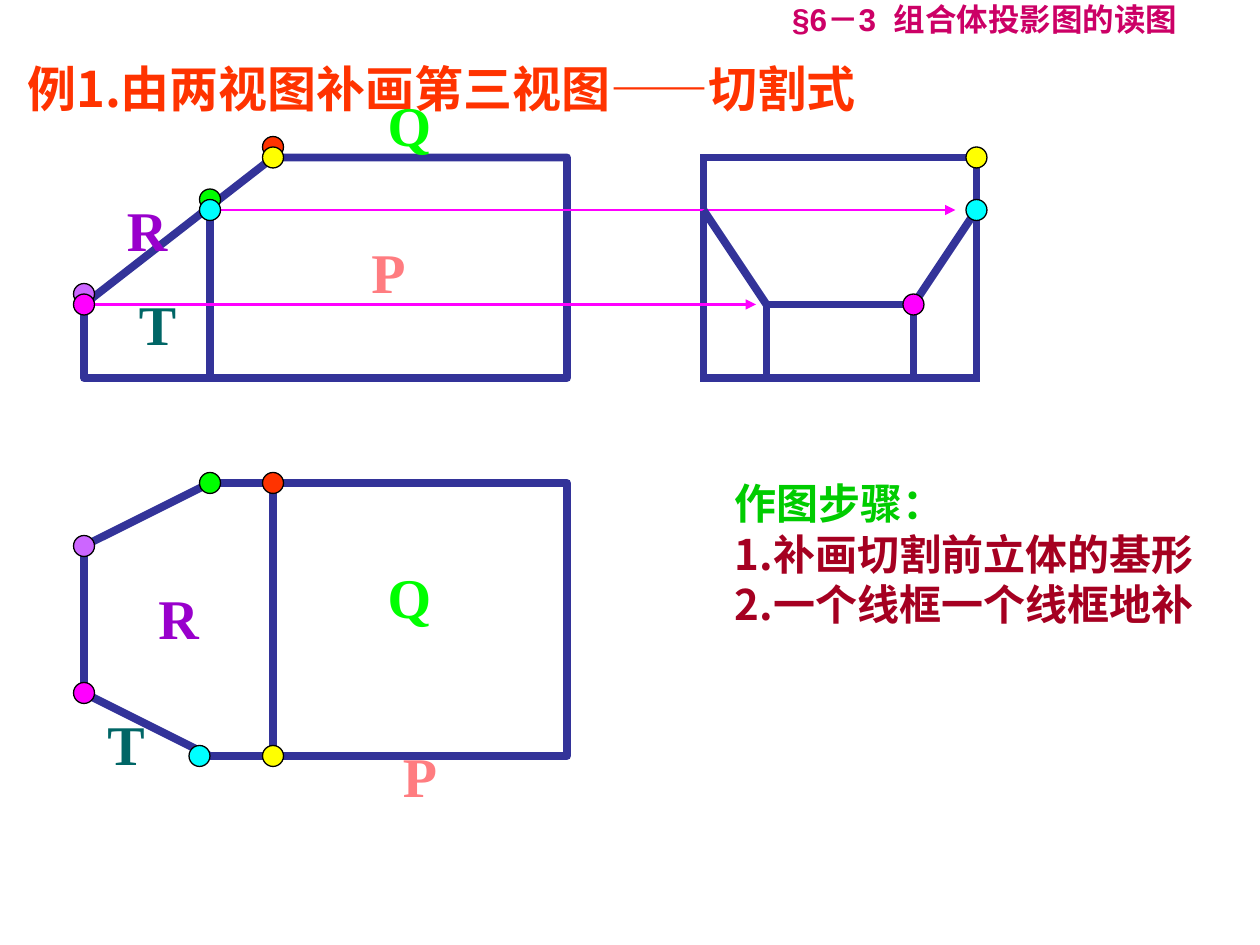
from dataclasses import dataclass

from lxml.etree import SubElement
from pptx import Presentation
from pptx.dml.color import RGBColor
from pptx.enum.shapes import MSO_CONNECTOR, MSO_SHAPE
from pptx.enum.text import MSO_ANCHOR, MSO_AUTO_SIZE, PP_ALIGN
from pptx.oxml.ns import qn
from pptx.util import Cm, Pt

Point = tuple[int, int]
EDGE, RAY = "333399", "FF00FF"
RED, GREEN, PURPLE = "FF3300", "00FF00", "CC66FF"
MAGENTA, CYAN, YELLOW = "FF00FF", "00FFFF", "FFFF00"
CJK, LATIN = "Noto Sans CJK SC", "Times New Roman"


@dataclass
class Vertex:
    center: Point
    color: str


@dataclass
class FaceLabel:
    letter: str
    color: str
    corners: tuple[Point, Point]


PLAN_VERTICES = [
    Vertex((26, 46), RED), Vertex((20, 46), GREEN), Vertex((8, 52), PURPLE),
    Vertex((8, 66), MAGENTA), Vertex((19, 72), CYAN), Vertex((26, 72), YELLOW),
]
SIDE_VERTICES = [
    Vertex((87, 29), MAGENTA), Vertex((93, 20), CYAN), Vertex((93, 15), YELLOW),
]
FRONT_VERTICES = [
    Vertex((26, 14), RED), Vertex((20, 19), GREEN), Vertex((8, 28), PURPLE),
    Vertex((8, 29), MAGENTA), Vertex((20, 20), CYAN), Vertex((26, 15), YELLOW),
]
FACE_LABELS = [
    FaceLabel("P", "FF7C80", ((33, 22), (36, 70))),
    FaceLabel("Q", "00FF00", ((35, 53), (35, 8))),
    FaceLabel("R", "9900CC", ((13, 55), (10, 18))),
    FaceLabel("T", "006666", ((11, 27), (8, 67))),
]
PLAN_OUTLINE = [(54, 46), (20, 46), (8, 52), (8, 66), (20, 72), (54, 72)]
FRONT_OUTLINE = [(8, 36), (8, 29), (26, 15), (54, 15), (54, 36)]
SIDE_EDGES = [
    ((73, 36), (73, 29)), ((87, 36), (87, 29)), ((73, 29), (87, 29)),
    ((73, 29), (67, 20)), ((87, 29), (93, 20)),
]
PROJECTION_RAYS = [((20, 20), (91, 20)), ((8, 29), (72, 29))]


def grid(steps: float) -> Cm:
    return Cm(steps * 2.54 / 12)


def rgb(color: str) -> RGBColor:
    return RGBColor.from_string(color)


def style_line(line, color: str, width: float) -> None:
    line.color.rgb = rgb(color)
    line.width = Pt(width)


def draw_edge(shapes, start: Point, end: Point, color=EDGE, width=4.5):
    edge = shapes.add_connector(
        MSO_CONNECTOR.STRAIGHT, *map(grid, start), *map(grid, end))
    style_line(edge.line, color, width)
    SubElement(edge._element.spPr, qn("a:effectLst"))
    return edge


def draw_ray(shapes, start: Point, end: Point) -> None:
    ray = draw_edge(shapes, start, end, RAY, 1.5)
    SubElement(ray.line._get_or_add_ln(), qn("a:tailEnd"), type="triangle")


def draw_outline(shapes, corners: list[Point]) -> None:
    builder = shapes.build_freeform(*corners[0], scale=grid(1))
    builder.add_line_segments(corners[1:], close=True)
    outline = builder.convert_to_shape()
    outline.fill.background()
    outline.shadow.inherit = False
    style_line(outline.line, EDGE, 4.5)
    SubElement(outline.line._get_or_add_ln(), qn("a:round"))


def draw_side_frame(shapes) -> None:
    frame = shapes.add_shape(
        MSO_SHAPE.RECTANGLE, grid(67), grid(15), grid(26), grid(21))
    frame.fill.solid()
    frame.fill.fore_color.rgb = rgb("FFFFFF")
    frame.shadow.inherit = False
    style_line(frame.line, EDGE, 4.5)
    SubElement(frame.line._get_or_add_ln(), qn("a:miter"), lim="800000")


def draw_vertices(shapes, vertices: list[Vertex]) -> None:
    group = shapes.add_group_shape()
    for vertex in vertices:
        x, y = vertex.center
        dot = group.shapes.add_shape(
            MSO_SHAPE.OVAL, grid(x - 1), grid(y - 1), grid(2), grid(2))
        dot.fill.solid()
        dot.fill.fore_color.rgb = rgb(vertex.color)
        dot.shadow.inherit = False
        style_line(dot.line, "000000", 0.75)


def add_run(paragraph, text: str, size: float, color: str, face: str):
    run = paragraph.add_run()
    run.text = text
    run.font.size = Pt(size)
    run.font.bold = True
    run.font.name = face
    run.font.color.rgb = rgb(color)
    SubElement(run.font._element, qn("a:ea"),
               typeface=LATIN if face == LATIN else CJK)
    return run


def place(box, left: float, top: float, width: float, height: float) -> None:
    box.left, box.top, box.width, box.height = map(
        Cm, (left, top, width, height))


def set_frame(frame, anchor, side_inset: float = 0.25) -> None:
    frame.word_wrap = True
    frame.auto_size = MSO_AUTO_SIZE.NONE
    frame.vertical_anchor = anchor
    frame.margin_left = frame.margin_right = Cm(side_inset)
    frame.margin_top = frame.margin_bottom = Cm(0.13)


def draw_face_label(shapes, label: FaceLabel) -> None:
    for left, top in label.corners:
        box = shapes.add_textbox(grid(left), grid(top), grid(8), Cm(1.63))
        set_frame(box.text_frame, MSO_ANCHOR.TOP)
        paragraph = box.text_frame.paragraphs[0]
        paragraph.alignment = PP_ALIGN.CENTER
        add_run(paragraph, label.letter, 32, label.color, LATIN)


def write_heading(title) -> None:
    place(title, 0.3, 1.04, 17.78, 1.47)
    set_frame(title.text_frame, MSO_ANCHOR.TOP)
    paragraph = title.text_frame.paragraphs[0]
    paragraph.alignment = PP_ALIGN.LEFT
    add_run(paragraph, "例1.由两视图补画第三视图——切割式", 28, RED, CJK)


def write_steps(body) -> None:
    place(body, 14.71, 9.5, 9.8, 4.17)
    set_frame(body.text_frame, MSO_ANCHOR.TOP, 0.1)
    steps = [
        ("作图步骤：", "00CC00"),
        ("1.补画切割前立体的基形", "A50021"),
        ("2.一个线框一个线框地补", "A50021"),
    ]
    for index, (text, color) in enumerate(steps):
        frame = body.text_frame
        paragraph = frame.add_paragraph() if index else frame.paragraphs[0]
        properties = paragraph._p.get_or_add_pPr()
        properties.set("marL", str(Cm(1.27)))
        properties.set("indent", str(-Cm(1.27)))
        SubElement(properties, qn("a:buNone"))
        paragraph.space_before = Pt(0)
        add_run(paragraph, text, 24, color, CJK)


def write_section(shapes) -> None:
    box = shapes.add_textbox(Cm(14.3), Cm(-0.2), Cm(11.1), Cm(1.17))
    set_frame(box.text_frame, MSO_ANCHOR.MIDDLE)
    paragraph = box.text_frame.paragraphs[0]
    paragraph.alignment = PP_ALIGN.CENTER
    add_run(paragraph, "§6－3", 18, "CC0066", "Arial")
    gap = add_run(paragraph, " ", 18, "CC0066", "Arial")
    gap.font._element.set("spc", "500")
    add_run(paragraph, "组合体投影图的读图", 18, "CC0066", "Arial")


def main() -> None:
    deck = Presentation()
    deck.slide_width, deck.slide_height = Cm(25.4), Cm(19.05)
    slide = deck.slides.add_slide(deck.slide_layouts[1])
    shapes = slide.shapes
    write_heading(shapes.title)
    write_steps(slide.placeholders[1])

    plan = shapes.add_group_shape().shapes
    draw_outline(plan, PLAN_OUTLINE)
    draw_edge(plan, (26, 46), (26, 72))
    front = shapes.add_group_shape().shapes
    draw_edge(front, (20, 36), (20, 20))
    draw_outline(front, FRONT_OUTLINE)
    draw_side_frame(shapes)
    for start, end in PROJECTION_RAYS:
        draw_ray(shapes, start, end)
    for start, end in SIDE_EDGES:
        draw_edge(shapes, start, end)
    for vertices in (PLAN_VERTICES, SIDE_VERTICES, FRONT_VERTICES):
        draw_vertices(shapes, vertices)
    for label in FACE_LABELS:
        draw_face_label(shapes, label)
    write_section(shapes)
    deck.save("out.pptx")


if __name__ == "__main__":
    main()
